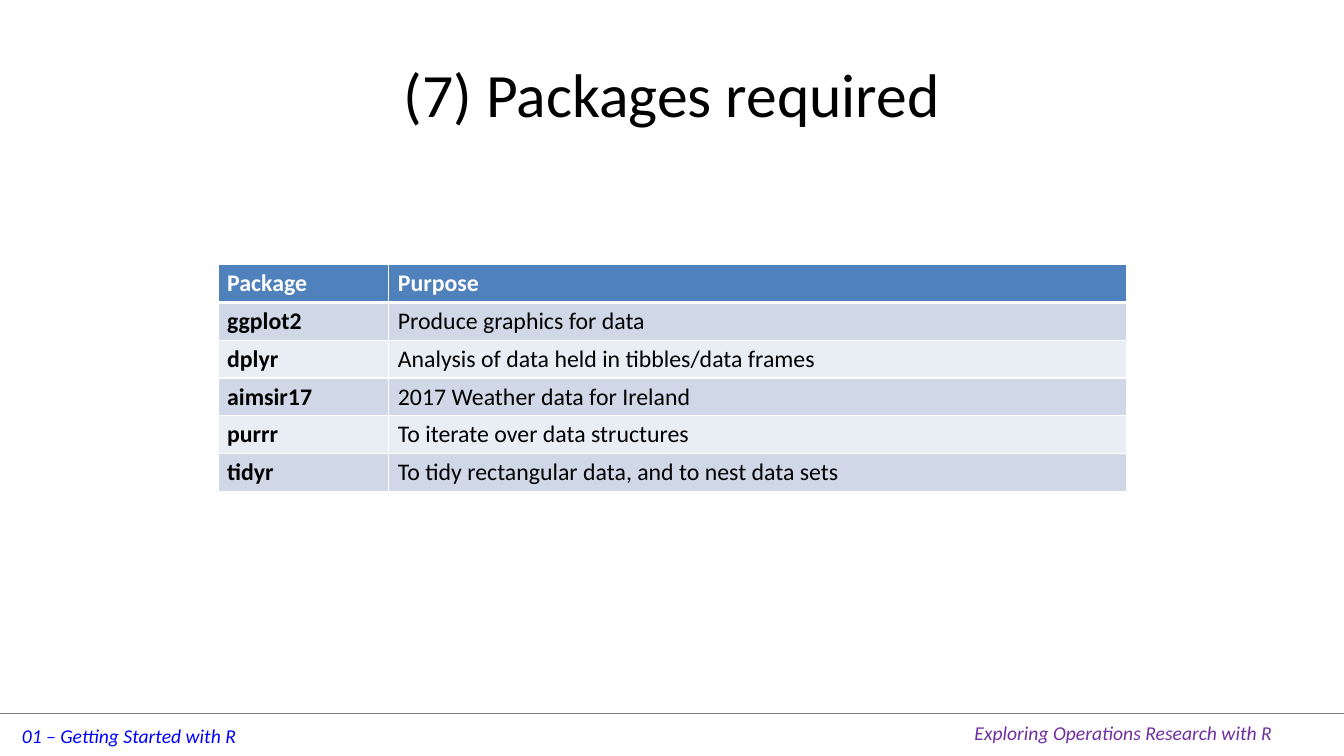
from lxml.etree import SubElement
from pptx import Presentation
from pptx.dml.color import RGBColor
from pptx.enum.text import MSO_ANCHOR, PP_ALIGN
from pptx.oxml.ns import qn
from pptx.util import Pt

COLORS = {
    "text": "000000", "white": "FFFFFF", "rule": "808080",
    "chapter": "0000FF", "book": "7030A0",
    "header": "4F81BD", "odd": "D0D8E8", "even": "E9EDF4",
}
PACKAGES = [
    ("Package", "Purpose"),
    ("ggplot2", "Produce graphics for data"),
    ("dplyr", "Analysis of data held in tibbles/data frames"),
    ("aimsir17", "2017 Weather data for Ireland"),
    ("purrr", "To iterate over data structures"),
    ("tidyr", "To tidy rectangular data, and to nest data sets"),
]


class Deck:
    """Hold the style and the current slide, and add elements to it."""

    font = "Calibri"

    def __init__(self, width, height):
        self.prs = Presentation()
        self.prs.slide_width, self.prs.slide_height = Pt(width), Pt(height)
        self.s = self.prs.slides.add_slide(self.prs.slide_layouts[5])

    def color(self, name):
        return RGBColor.from_string(COLORS[name])

    def style(self, p, size, color, bold=False, italic=False):
        p.font.name, p.font.size = self.font, Pt(size)
        p.font.bold, p.font.italic = bold, italic
        p.font.color.rgb = self.color(color)

    def title(self, text, x, y, w, h):
        sp = self.s.shapes.title
        sp.left, sp.top, sp.width, sp.height = Pt(x), Pt(y), Pt(w), Pt(h)
        tf = sp.text_frame
        tf.text = text
        tf.vertical_anchor = MSO_ANCHOR.MIDDLE
        tf.paragraphs[0].alignment = PP_ALIGN.CENTER
        self.style(tf.paragraphs[0], 44, "text")

    def rule(self, y):
        line = self.s.shapes.add_connector(1, 0, Pt(y), self.prs.slide_width, Pt(y))
        line.line.color.rgb = self.color("rule")
        line.line.width = Pt(0.25)
        SubElement(line._element.spPr, qn("a:effectLst"))

    def footer(self, text, x, y, w, h, color):
        tf = self.s.shapes.add_textbox(Pt(x), Pt(y), Pt(w), Pt(h)).text_frame
        tf.word_wrap = False
        tf.text = text
        self.style(tf.paragraphs[0], 14, color, italic=True)

    def borders(self, cell, bottom):
        tcPr = cell._tc.get_or_add_tcPr()
        for side, width in (("L", 1), ("R", 1), ("T", 1), ("B", bottom)):
            ln = SubElement(tcPr, qn(f"a:ln{side}"), w=str(Pt(width)))
            fill = SubElement(ln, qn("a:solidFill"))
            SubElement(fill, qn("a:srgbClr"), val=COLORS["white"])

    def table(self, rows, x, y, widths, row_height):
        tbl = self.s.shapes.add_table(
            len(rows), len(widths), Pt(x), Pt(y),
            Pt(sum(widths)), Pt(row_height * len(rows))).table
        for column, width in zip(tbl.columns, widths):
            column.width = Pt(width)
        for i, row in enumerate(rows):
            tbl.rows[i].height = Pt(row_height)
            band = "header" if i == 0 else "odd" if i % 2 else "even"
            for j, text in enumerate(row):
                cell = tbl.cell(i, j)
                cell.margin_left = cell.margin_right = Pt(6.5)
                cell.margin_top = cell.margin_bottom = Pt(3.25)
                self.borders(cell, 1 if i else 3)
                cell.fill.solid()
                cell.fill.fore_color.rgb = self.color(band)
                cell.text = text
                self.style(cell.text_frame.paragraphs[0], 17,
                           "text" if i else "white", bold=i == 0 or j == 0)


def main():
    deck = Deck(960, 540)
    deck.rule(509.25)
    deck.footer("01 – Getting Started with R", 8.5, 513.5, 170, 24.25, "chapter")
    deck.footer("Exploring Operations Research with R", 689, 511.75, 229, 24.25, "book")
    deck.title("(7) Packages required", 48, 21.6, 864, 90)
    deck.table(PACKAGES, 155.75, 189, (122, 527), 27)
    deck.prs.save("out.pptx")


if __name__ == "__main__":
    main()
